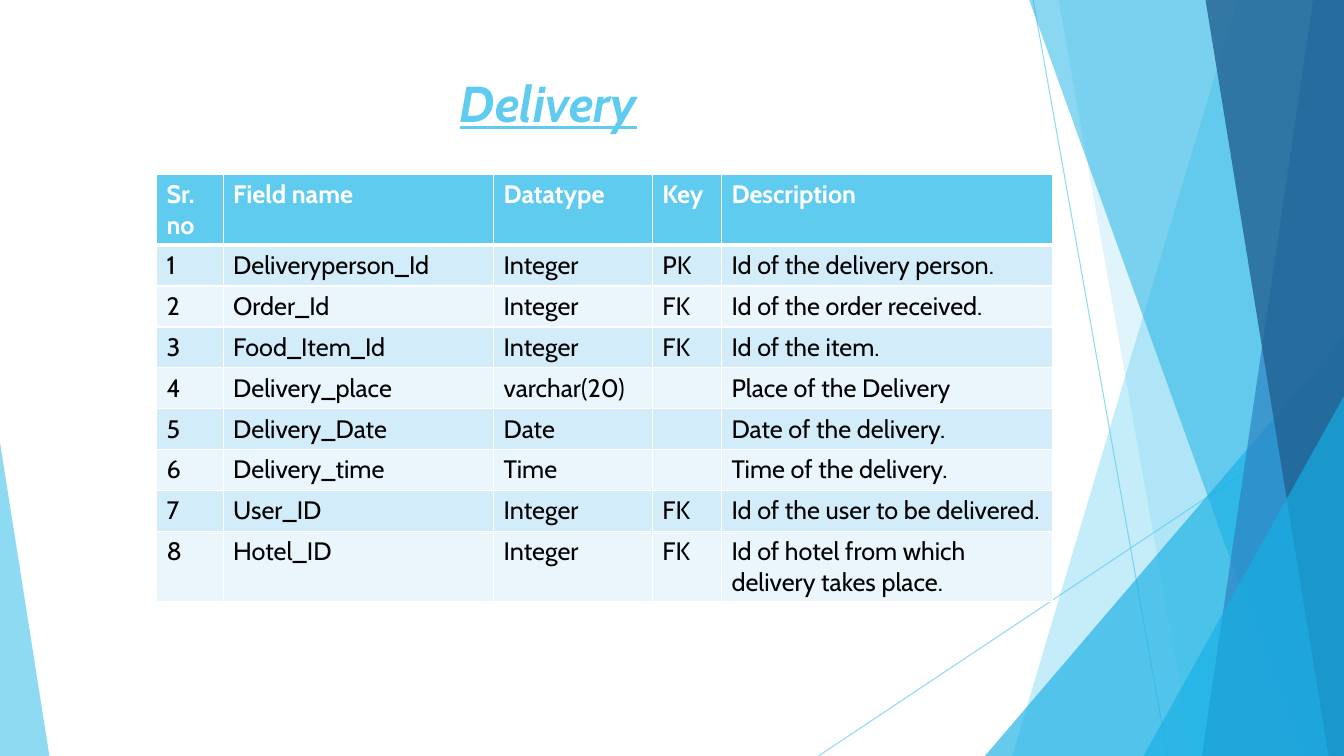
from dataclasses import dataclass

from lxml import etree
from pptx import Presentation
from pptx import util as u
from pptx.dml.color import RGBColor
from pptx.enum import shapes, text
from pptx.oxml.ns import qn

WIDTH, HEIGHT = 960, 540


@dataclass(frozen=True)
class Theme:
    font: str = "Cabin"
    title_size: int = 36
    table_size: int = 18
    sky: str = "5FCBEF"
    cyan: str = "17B0E4"
    blue: str = "2E83C3"
    navy: str = "226292"
    band_dark: str = "D2ECF9"
    band_light: str = "EAF6FC"
    white: str = "FFFFFF"
    black: str = "000000"


def set_opacity(shape, percent):
    """Make the shape's fill or line colour partly transparent."""
    for colour in shape._element.spPr.iter(qn("a:srgbClr")):
        etree.SubElement(colour, qn("a:alpha"), val=str(percent * 1000))


def add_border(cell, side, colour, weight):
    """Draw one side (L, R, T or B) of a cell; call before setting its fill."""
    properties = cell._tc.get_or_add_tcPr()
    border = etree.SubElement(properties, qn(f"a:ln{side}"), w=str(u.Pt(weight)))
    fill = etree.SubElement(border, qn("a:solidFill"))
    etree.SubElement(fill, qn("a:srgbClr"), val=colour)


class SlideBuilder:
    def __init__(self, slide, theme):
        self.slide = slide
        self.theme = theme

    def add_text(self, frame, words, *, size, colour, bold=False, italic=False,
                 underline=False, align=text.PP_ALIGN.LEFT):
        paragraph = frame.paragraphs[0]
        paragraph.alignment = align
        run = paragraph.add_run()
        run.text = words
        font = run.font
        font.name, font.size = self.theme.font, u.Pt(size)
        font.bold, font.italic, font.underline = bold, italic, underline
        font.color.rgb = RGBColor.from_string(colour)

    def line(self, start, end, colour, opacity):
        connector = self.slide.shapes.add_connector(
            shapes.MSO_CONNECTOR.STRAIGHT, *map(u.Pt, (*start, *end)))
        connector.line.width = u.Pt(0.75)
        connector.line.color.rgb = RGBColor.from_string(colour)
        set_opacity(connector, opacity)
        etree.SubElement(connector._element.spPr, qn("a:effectLst"))

    def paint(self, shape, colour, opacity):
        shape.shadow.inherit = False
        shape.fill.solid()
        shape.fill.fore_color.rgb = RGBColor.from_string(colour)
        shape.line.fill.background()
        set_opacity(shape, opacity)

    def right_facet(self, top_x, bottom_x, colour, opacity):
        """Fill from a slanted left edge to the right side of the slide."""
        top = -0.6
        outline = self.slide.shapes.build_freeform(
            u.Pt(top_x), u.Pt(top), scale=1.0)
        corners = [(WIDTH, top), (WIDTH, HEIGHT), (bottom_x, HEIGHT)]
        outline.add_line_segments([(u.Pt(x), u.Pt(y)) for x, y in corners])
        self.paint(outline.convert_to_shape(), colour, opacity)

    def corner_triangle(self, left, top, width, apex, colour, opacity):
        """Stand a right triangle on the slide's bottom edge."""
        triangle = self.slide.shapes.add_shape(
            shapes.MSO_SHAPE.ISOSCELES_TRIANGLE,
            *map(u.Pt, (left, top, width, HEIGHT - top)))
        triangle.adjustments[0] = apex
        self.paint(triangle, colour, opacity)

    def title(self, words, left, top, width, height):
        frame = self.slide.shapes.add_textbox(
            *map(u.Pt, (left, top, width, height))).text_frame
        frame.word_wrap = True
        frame.vertical_anchor = text.MSO_ANCHOR.TOP
        self.add_text(frame, words, size=self.theme.title_size,
                      colour=self.theme.sky, bold=True, italic=True,
                      underline=True, align=text.PP_ALIGN.CENTER)

    def table(self, rows, left, top, widths, row_height):
        theme = self.theme
        table = self.slide.shapes.add_table(
            len(rows), len(widths), u.Pt(left), u.Pt(top),
            u.Pt(sum(widths)), u.Pt(row_height * len(rows))).table
        for column, width in zip(table.columns, widths):
            column.width = u.Pt(width)
        for r, values in enumerate(rows):
            table.rows[r].height = u.Pt(row_height)
            header = r == 0
            band = theme.band_dark if r % 2 else theme.band_light
            weights = {"L": 1, "R": 1, "T": 3 if r == 1 else 1,
                       "B": 3 if header else 1}
            for c, value in enumerate(values):
                cell = table.cell(r, c)
                for side, weight in weights.items():
                    add_border(cell, side, theme.white, weight)
                cell.fill.solid()
                cell.fill.fore_color.rgb = RGBColor.from_string(
                    theme.sky if header else band)
                if value:
                    self.add_text(cell.text_frame, value, size=theme.table_size,
                                  colour=theme.white if header else theme.black,
                                  bold=header)


FIELDS = [
    ("Deliveryperson_Id", "Integer", "PK", "Id of the delivery person."),
    ("Order_Id", "Integer", "FK", "Id of the order received."),
    ("Food_Item_Id", "Integer", "FK", "Id of the item."),
    ("Delivery_place", "varchar(20)", "", "Place of the Delivery"),
    ("Delivery_Date", "Date", "", "Date of the delivery."),
    ("Delivery_time", "Time", "", "Time of the delivery."),
    ("User_ID", "Integer", "FK", "Id of the user to be delivered."),
    ("Hotel_ID", "Integer", "FK", "Id of hotel from which delivery takes place."),
]


def main():
    deck = Presentation()
    deck.slide_width, deck.slide_height = u.Pt(WIDTH), u.Pt(HEIGHT)
    theme = Theme()
    page = SlideBuilder(deck.slides.add_slide(deck.slide_layouts[6]), theme)

    page.line((738, 0), (834, HEIGHT), theme.sky, 70)
    page.line((WIDTH, 290), (584.6, HEIGHT), theme.sky, 70)
    page.right_facet(884, 723, theme.sky, 36)
    page.right_facet(756, 852, theme.sky, 20)
    page.corner_triangle(703.5, 240, 256.5, 1, theme.cyan, 66)
    page.right_facet(735, 929.5, theme.cyan, 50)
    page.right_facet(938, 858.5, theme.blue, 70)
    page.right_facet(861, 949, theme.navy, 80)
    page.corner_triangle(816.8, 283, 143.2, 1, theme.cyan, 66)
    page.corner_triangle(0, 316, 35.3, 0, theme.sky, 70)

    page.title("Delivery", 53.3, 48, 677, 76.5)
    header = ("Sr. no", "Field name", "Datatype", "Key", "Description")
    numbered = [(str(n), *field) for n, field in enumerate(FIELDS, 1)]
    page.table([header, *numbered], left=111.8, top=124.7,
               widths=(47.6, 193.2, 113.4, 49.4, 236.2), row_height=29.2)

    deck.save("out.pptx")


if __name__ == "__main__":
    main()
